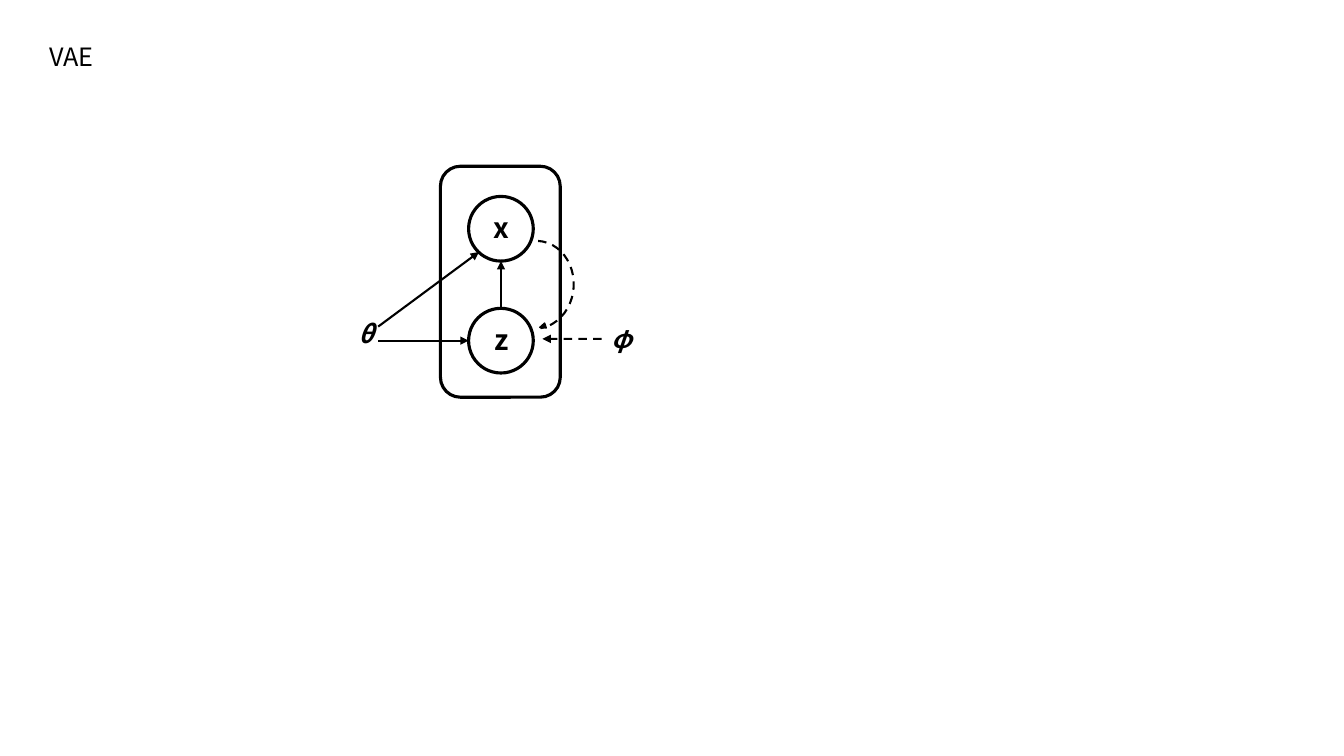
import pptx
import pptx.dml.color
import pptx.enum.dml
import pptx.enum.shapes
import pptx.enum.text
import pptx.oxml.ns
import pptx.util
import lxml.etree

Cm = pptx.util.Cm
Shapes = pptx.enum.shapes.MSO_SHAPE


def colour(value):
    return pptx.dml.color.RGBColor.from_string(value)


class Diagram:
    """Draws the parts of a graphical model in one shared style."""

    font = "Noto Sans CJK SC"
    ink = "000000"

    def __init__(self, page):
        self.page = page

    def fill_text(self, box, text, size, bold=False, italic=False, wrap=False):
        frame = box.text_frame
        frame.word_wrap = wrap
        frame.auto_size = pptx.enum.text.MSO_AUTO_SIZE.SHAPE_TO_FIT_TEXT
        frame.vertical_anchor = pptx.enum.text.MSO_ANCHOR.TOP
        para = frame.paragraphs[0]
        para.alignment = pptx.enum.text.PP_ALIGN.LEFT
        para.line_spacing = 1.0
        span = para.add_run()
        span.text = text
        span.font.name = self.font
        span.font.size = pptx.util.Pt(size)
        span.font.bold = bold
        span.font.italic = italic
        span.font.color.rgb = colour(self.ink)

    def title(self, text, left, top, width, height):
        box = self.page.shapes.title
        box.left, box.top, box.width, box.height = map(Cm, (left, top, width, height))
        self.fill_text(box, text, 18)

    def label(self, text, left, top, width, height, size, italic=False, wrap=False):
        box = self.page.shapes.add_textbox(*map(Cm, (left, top, width, height)))
        self.fill_text(box, text, size, True, italic, wrap)
        return box

    def stroke(self, line, weight, dashed=False):
        line.color.rgb = colour(self.ink)
        line.width = pptx.util.Pt(weight)
        if dashed:
            line.dash_style = pptx.enum.dml.MSO_LINE.DASH

    def outline(self, kind, left, top, width, height, weight=2.25,
                dashed=False, turn=0, fill=None):
        shape = self.page.shapes.add_shape(kind, *map(Cm, (left, top, width, height)))
        shape.shadow.inherit = False
        shape.rotation = turn
        if fill:
            shape.fill.solid()
            shape.fill.fore_color.rgb = colour(fill)
        else:
            shape.fill.background()
        self.stroke(shape.line, weight, dashed)
        return shape

    def arrow(self, start, end, dashed=False):
        connector = self.page.shapes.add_connector(
            pptx.enum.shapes.MSO_CONNECTOR.STRAIGHT, *map(Cm, (*start, *end)))
        self.stroke(connector.line, 1.5, dashed)
        properties = connector._element.spPr
        line = properties.find(pptx.oxml.ns.qn("a:ln"))
        head = lxml.etree.SubElement(line, pptx.oxml.ns.qn("a:tailEnd"))
        head.set("type", "triangle")
        lxml.etree.SubElement(properties, pptx.oxml.ns.qn("a:effectLst"))
        return connector


def main():
    deck = pptx.Presentation()
    deck.slide_width, deck.slide_height = Cm(33.87), Cm(19.05)
    diagram = Diagram(deck.slides.add_slide(deck.slide_layouts[5]))
    diagram.title("VAE", 0.99, 0.91, 1.63, 1.02)

    diagram.outline(Shapes.ROUNDED_RECTANGLE, 11.1, 4.19, 3.02, 5.82)
    node_left, node_size = 11.81, 1.63
    x_top, z_top = 4.95, 7.77
    z_node, x_node = (
        diagram.outline(Shapes.OVAL, node_left, top, node_size, node_size)
        for top in (z_top, x_top))
    diagram.label("z", 12.22, z_top + 0.23, 0.84, 1.12, 20)
    diagram.label("x", 12.19, x_top + 0.23, 0.86, 1.12, 20)
    diagram.label("θ", 8.79, 7.9, 0.89, 1.02, 18, italic=True)
    phi = diagram.label("φ", 15.16, 8.03, 0.81, 1.02, 18, italic=True, wrap=True)

    middle = node_left + node_size / 2
    generate = diagram.arrow((middle, z_top), (middle, x_top + node_size))
    generate.begin_connect(z_node, 0)
    z_middle = z_top + node_size / 2
    diagram.arrow((9.53, z_middle), (node_left, z_middle))
    diagram.arrow((9.53, 8.23), (12.07, 6.35))
    infer = diagram.arrow((15.16, 8.54), (13.67, 8.54), dashed=True)
    infer.begin_connect(phi, 1)

    arc = diagram.outline(Shapes.ARC, 12.55, 6.07, 1.91, 2.21, 1.5, True, 3)
    arc.adjustments[0], arc.adjustments[1] = 162, 48.58
    diagram.outline(Shapes.ISOSCELES_TRIANGLE, 13.61, 8.15, 0.13, 0.15, 1,
                    turn=252, fill=diagram.ink)
    deck.save("out.pptx")


if __name__ == "__main__":
    main()
